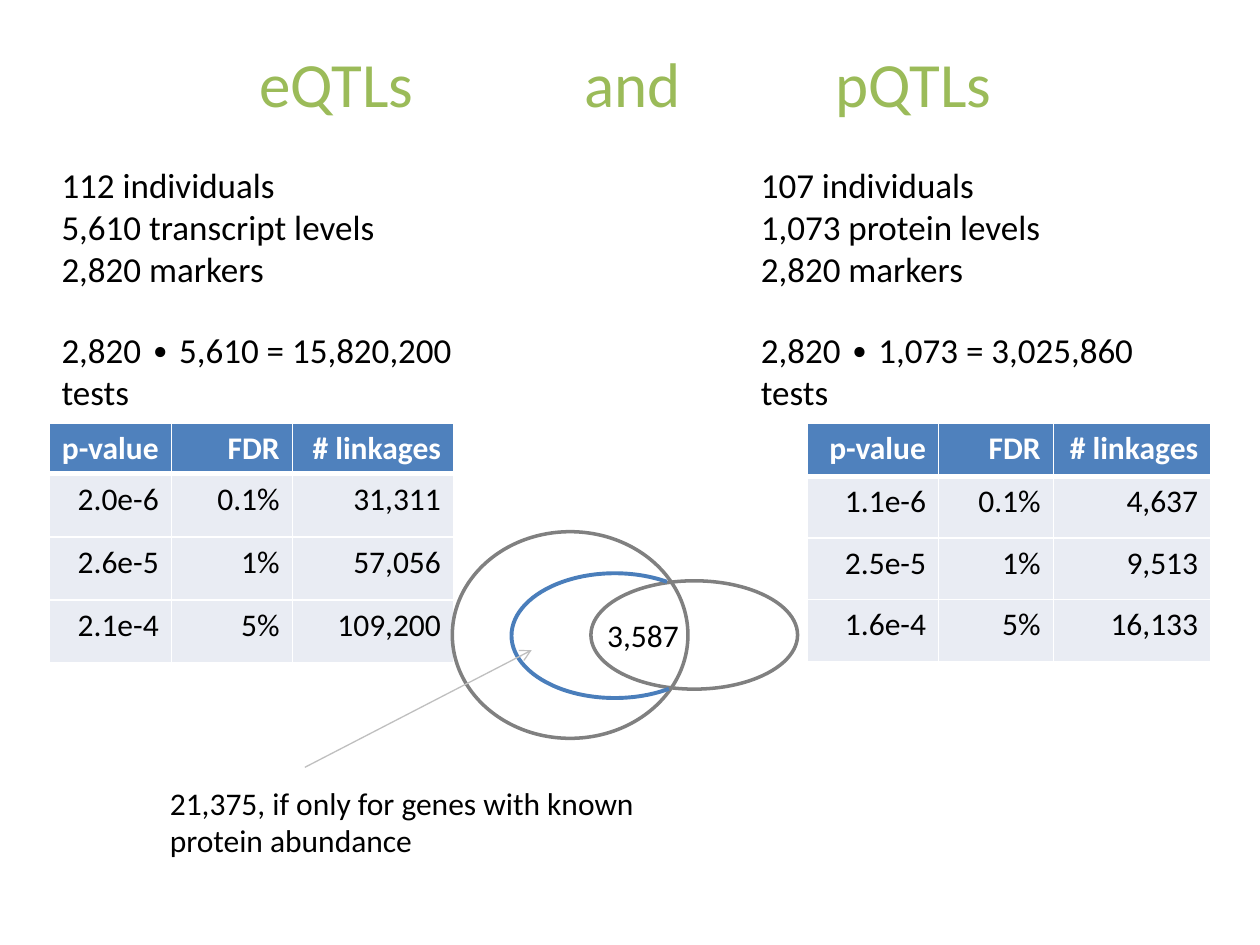
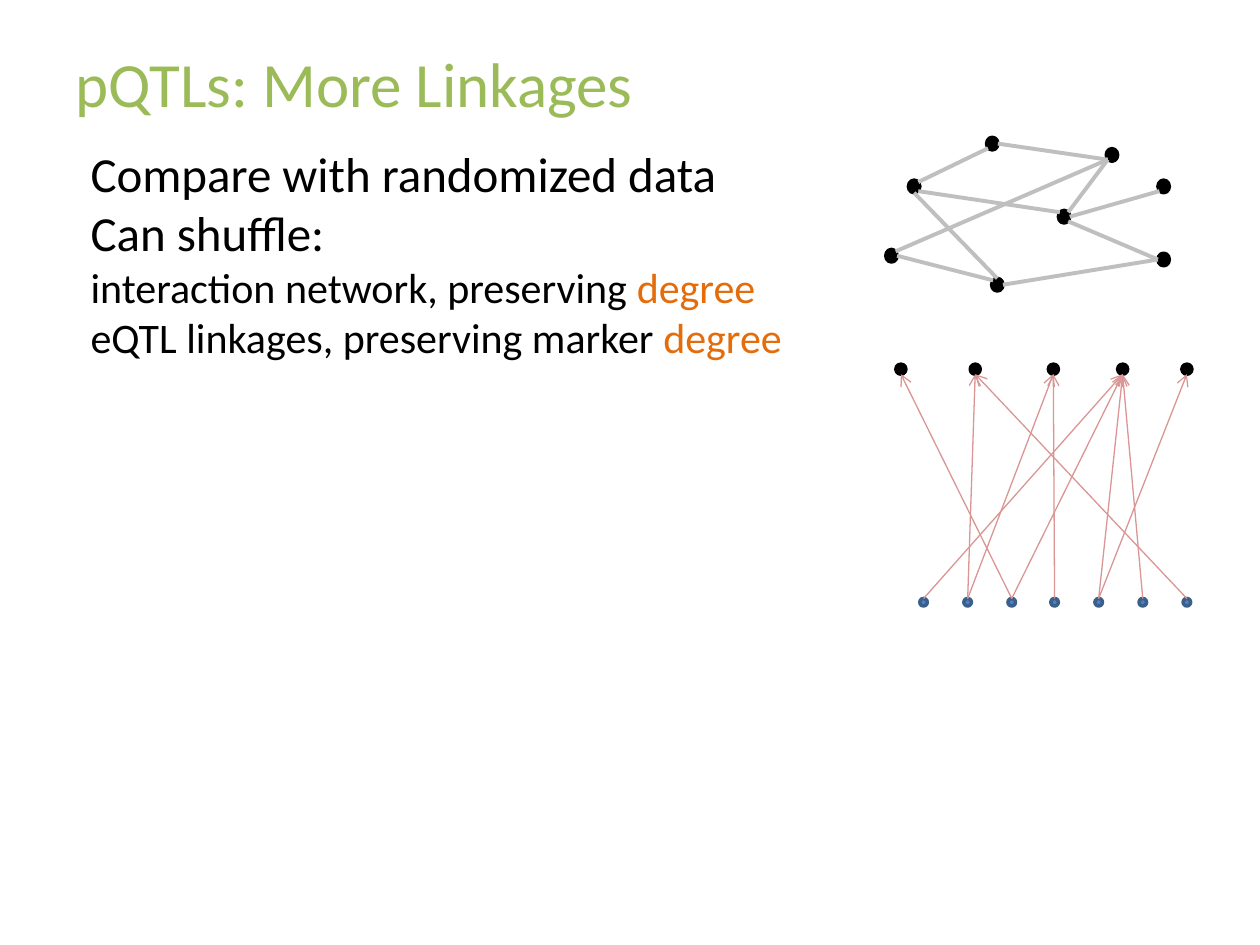
import dataclasses

import pptx
import pptx.dml.color
import pptx.enum.shapes
import pptx.enum.text
import pptx.oxml
import pptx.oxml.ns
import pptx.util

PX = 9144  # EMU in one px, at 100 px to the inch
SHAPE = pptx.enum.shapes.MSO_SHAPE
RIGHT = pptx.enum.text.PP_ALIGN.RIGHT
MIDDLE = pptx.enum.text.MSO_ANCHOR.MIDDLE


@dataclasses.dataclass(frozen=True)
class Theme:
    font: str = "Calibri"
    title: str = "9BBB59"
    ink: str = "000000"
    white: str = "FFFFFF"
    accent: str = "E46C0A"
    header: str = "4F81BD"
    row: str = "E9ECF3"
    outline: str = "808080"
    arc: str = "4A7EBB"
    edge: str = "BFBFBF"
    marker_line: str = "3A5F8B"
    linkage: str = "D99694"
    title_size: int = 36
    lead_size: int = 28
    sub_size: int = 24
    body_size: int = 20
    small_size: int = 18


THEME = Theme()

# Points on a dot's rim, as fractions of its width and height
RIM = {
    "N": (0.5, 0), "NE": (0.87, 0.15), "E": (1, 0.5), "SE": (0.87, 0.87),
    "S": (0.5, 1), "SW": (0.13, 0.87), "W": (0, 0.5), "NW": (0.13, 0.15),
}


def px(*lengths):
    return [pptx.util.Emu(round(length * PX)) for length in lengths]


def rgb(colour):
    return pptx.dml.color.RGBColor.from_string(colour)


def apply_format(target, values):
    for name, value in values.items():
        setattr(target, name, value)


def add_span(para, text, size, colour=THEME.ink, bold=False):
    span = para.add_run()
    span.text = text
    apply_format(span.font, {"name": THEME.font, "size": pptx.util.Pt(size), "bold": bold})
    span.font.color.rgb = rgb(colour)


def add_text(page, place, paragraphs, gap_before_last=0, **frame_format):
    """Each paragraph is a list of (text, size, colour) spans."""
    box = page.shapes.add_textbox(*px(*place))
    frame = box.text_frame
    apply_format(frame, {"word_wrap": True, **frame_format})
    for index, spans in enumerate(paragraphs):
        para = frame.add_paragraph() if index else frame.paragraphs[0]
        for span in spans:
            add_span(para, *span)
    if gap_before_last:
        para.space_before = pptx.util.Pt(gap_before_last)
    return box


def add_title(page, text, indent=10, tabs=()):
    box = add_text(page, (50, 30, 900, 71), [[(text, THEME.title_size, THEME.title)]],
                   vertical_anchor=MIDDLE, margin_left=px(indent)[0])
    if tabs:
        stops = "".join(f'<a:tab pos="{tab * PX}" algn="l"/>' for tab in tabs)
        properties = box.text_frame.paragraphs[0]._p.get_or_add_pPr()
        properties.append(pptx.oxml.parse_xml(
            f'<a:tabLst {pptx.oxml.ns.nsdecls("a")}>{stops}</a:tabLst>'))


def set_line(shape, colour, width):
    shape.line.color.rgb = rgb(colour)
    shape.line.width = pptx.util.Pt(width)


def add_outline(page, kind, place, colour, width=2, fill=None):
    shape = page.shapes.add_shape(kind, *px(*place))
    shape.shadow.inherit = False
    if fill:
        shape.fill.solid()
        shape.fill.fore_color.rgb = rgb(fill)
    else:
        shape.fill.background()
    set_line(shape, colour, width)
    return shape


def add_line(page, start, end, colour, width, arrow=False):
    line = page.shapes.add_connector(
        pptx.enum.shapes.MSO_CONNECTOR.STRAIGHT, *px(*start, *end))
    set_line(line, colour, width)
    namespace = pptx.oxml.ns.nsdecls("a")
    if arrow:
        line.line._get_or_add_ln().append(
            pptx.oxml.parse_xml(f'<a:tailEnd {namespace} type="arrow"/>'))
    line._element.spPr.append(pptx.oxml.parse_xml(f"<a:effectLst {namespace}/>"))
    return line


def set_cell(cell, text, is_header, above_is_header):
    properties = cell._tc.get_or_add_tcPr()
    thick = {"lnB": is_header, "lnT": above_is_header}
    for side in ("lnL", "lnR", "lnT", "lnB"):
        width = pptx.util.Pt(3 if thick.get(side) else 0.96)
        properties.append(pptx.oxml.parse_xml(
            f'<a:{side} {pptx.oxml.ns.nsdecls("a")} w="{width}"><a:solidFill>'
            f'<a:srgbClr val="{THEME.white}"/></a:solidFill></a:{side}>'))
    cell.fill.solid()
    cell.fill.fore_color.rgb = rgb(THEME.header if is_header else THEME.row)
    para = cell.text_frame.paragraphs[0]
    para.alignment = RIGHT
    add_span(para, text, THEME.small_size, THEME.white if is_header else THEME.ink, is_header)


def add_linkage_table(page, left, widths, heights, rows):
    rows = [("p-value", "FDR", "# linkages"), *rows]
    place = px(left, 336, sum(widths), sum(heights))
    table = page.shapes.add_table(len(rows), len(widths), *place).table
    table.horz_banding = False
    for column, width in zip(table.columns, px(*widths)):
        column.width = width
    for row, height in zip(table.rows, px(*heights)):
        row.height = height
    for row_index, row in enumerate(rows):
        for column_index, text in enumerate(row):
            set_cell(table.cell(row_index, column_index), text,
                     row_index == 0, row_index == 1)


def add_counts(page, left, width, lines):
    add_text(page, (left, 125, width, 210),
             [[(line, THEME.body_size)] for line in lines], gap_before_last=22)


def build_comparison(page):
    add_title(page, "eQTLs\tand\tpQTLs", indent=156, tabs=(258, 457))
    add_linkage_table(page, 39, (97, 96, 128), (36, 50, 50, 50), [
        ("2.0e-6", "0.1%", "31,311"),
        ("2.6e-5", "1%", "57,056"),
        ("2.1e-4", "5%", "109,200"),
    ])
    add_linkage_table(page, 641, (104, 91, 125), (42, 49, 49, 49), [
        ("1.1e-6", "0.1%", "4,637"),
        ("2.5e-5", "1%", "9,513"),
        ("1.6e-4", "5%", "16,133"),
    ])
    add_outline(page, SHAPE.OVAL, (359, 422, 187, 164), THEME.outline)
    add_outline(page, SHAPE.OVAL, (469, 461, 164, 86), THEME.outline)
    add_text(page, (472, 484, 78, 40), [[("3,587", THEME.small_size)]])
    known_genes = add_outline(page, SHAPE.ARC, (406, 455, 164, 99), THEME.arc, 2.25)
    for index, degrees in enumerate((44.5, 314.1)):
        known_genes.adjustments[index] = degrees * 0.6
    add_text(page, (125, 617, 414, 70),
             [[("21,375, if only for genes with known protein abundance", THEME.small_size)]])
    add_line(page, (242, 609), (422, 516), THEME.edge, 0.75, arrow=True)
    add_counts(page, 39, 383, (
        "112 individuals", "5,610 transcript levels", "2,820 markers",
        "2,820 ∙ 5,610 = 15,820,200 tests"))
    add_counts(page, 594, 367, (
        "107 individuals", "1,073 protein levels", "2,820 markers",
        "2,820 ∙ 1,073 = 3,025,860 tests"))


def add_interaction_network(page):
    width, height = 9, 10
    nodes = {
        "hub": (840, 167), "east": (919, 143), "north": (878, 118),
        "southeast": (919, 201), "west": (721, 143), "southwest": (703, 198),
        "top": (783, 109), "south": (787, 221),
    }
    edges = [
        ("hub", "E", "east", "SW"), ("hub", "NE", "north", "SW"),
        ("hub", "SE", "southeast", "W"), ("hub", "NW", "west", "SE"),
        ("southwest", "E", "south", "NW"), ("top", "E", "north", "SW"),
        ("south", "N", "west", "S"), ("south", "E", "southeast", "W"),
        ("top", "SW", "west", "NE"), ("north", "SW", "southwest", "NE"),
    ]

    def rim_point(node, side):
        (left, top), (across, down) = nodes[node], RIM[side]
        return left + across * width, top + down * height

    for left, top in nodes.values():
        add_outline(page, SHAPE.OVAL, (left, top, width, height), THEME.ink, fill=THEME.ink)
    for start, start_side, end, end_side in edges:
        add_line(page, rim_point(start, start_side), rim_point(end, end_side),
                 THEME.edge, 2.25)


def add_linkage_graph(page):
    """Arrows run from the markers below to the transcripts above."""
    transcripts = (711, 770, 832, 887, 938)
    markers = [round(730 + index * 209 / 6) for index in range(7)]
    linkages = [(0, 3), (1, 1), (2, 0), (1, 2), (2, 3), (3, 2), (4, 3), (5, 3), (6, 1), (4, 4)]
    for left in transcripts:
        add_outline(page, SHAPE.OVAL, (left, 289, 8, 8), THEME.ink, fill=THEME.ink)
    dots = [add_outline(page, SHAPE.OVAL, (left, 475, 6, 6), THEME.marker_line,
                        fill=THEME.header) for left in markers]
    for marker, transcript in linkages:
        arrow = add_line(page, (markers[marker] + 3, 475), (transcripts[transcript] + 4, 297),
                         THEME.linkage, 0.75, arrow=True)
        arrow.begin_connect(dots[marker], 0)


def build_randomization(page):
    add_title(page, "pQTLs: More Linkages")
    degree = ("degree", THEME.sub_size, THEME.accent)
    add_text(page, (62, 109, 641, 586), [
        [("Compare with randomized data", THEME.lead_size)],
        [("Can shuffle:", THEME.lead_size)],
        [("interaction network, preserving ", THEME.sub_size), degree],
        [("eQTL linkages, preserving marker ", THEME.sub_size), degree],
    ])
    add_interaction_network(page)
    add_linkage_graph(page)


def main():
    deck = pptx.Presentation()
    deck.slide_width, deck.slide_height = px(1000, 750)
    for build in (build_comparison, build_randomization):
        build(deck.slides.add_slide(deck.slide_layouts[6]))
    deck.save("out.pptx")


if __name__ == "__main__":
    main()
